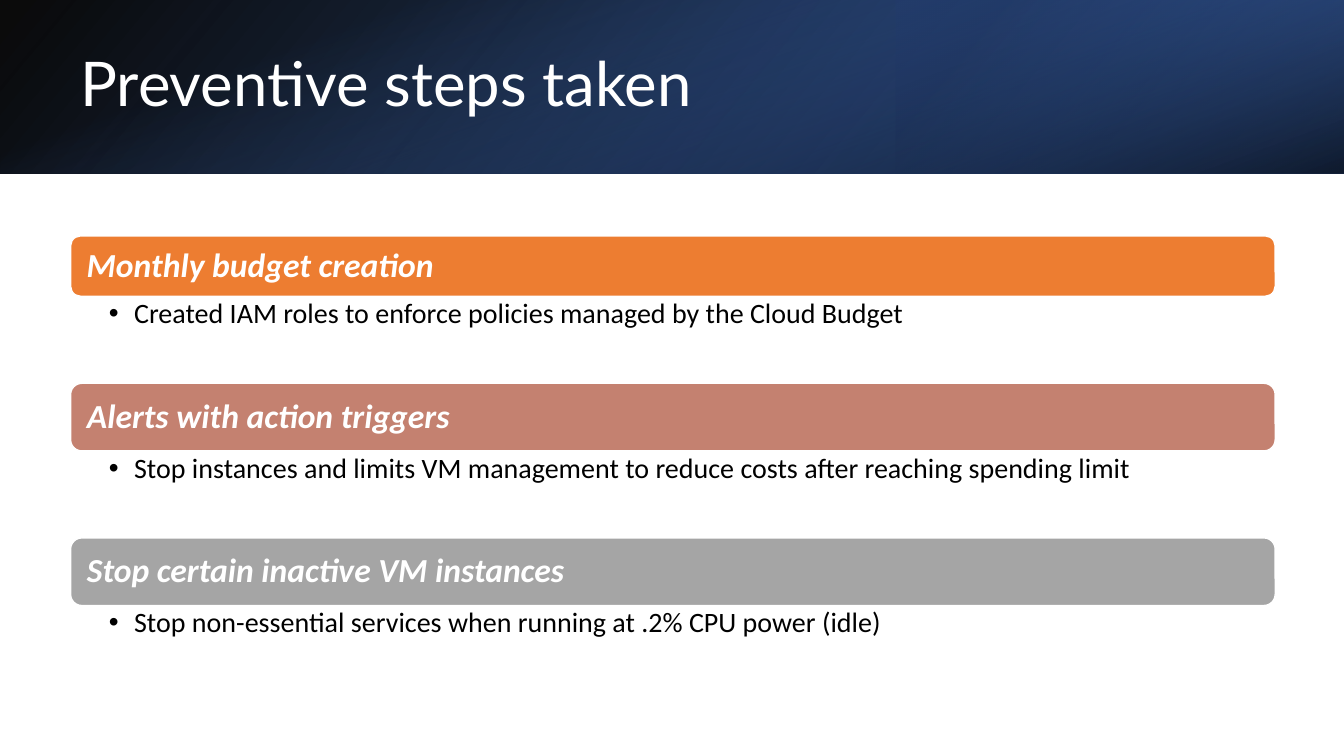
from lxml.etree import SubElement
from pptx import Presentation
from pptx.dml.color import RGBColor
from pptx.enum.shapes import MSO_SHAPE as SHAPE
from pptx.enum.text import MSO_ANCHOR as ANCHOR, PP_ALIGN as ALIGN
from pptx.oxml.ns import qn
from pptx.util import Inches, Pt


def rgb(value):
    return RGBColor.from_string(value)


class Deck:
    """Holds the style and current slide; lengths are percent of the slide."""
    white, black = "FFFFFF", "000000"
    head_font, body_font = "Lato", "Calibri"

    def __init__(self, prs):
        self.prs = prs
        self.slide = prs.slides.add_slide(prs.slide_layouts[6])

    def place(self, x, y, w, h):
        sw, sh = self.prs.slide_width, self.prs.slide_height
        return [int(v * size / 100) for v, size in zip((x, y, w, h), (sw, sh) * 2)]

    def shape(self, kind, box):
        s = self.slide.shapes.add_shape(kind, *self.place(*box))
        s.shadow.inherit = False
        return s

    def gradient(self, box, stops, angle, rotation=0, flip=False):
        s = self.shape(SHAPE.RECTANGLE, box)
        s.line.fill.background()
        if rotation == 90:  # swap the sides about the same centre
            x, y, w, h = s.left, s.top, s.width, s.height
            s.left, s.top = x + (w - h) // 2, y + (h - w) // 2
            s.width, s.height = h, w
        s.rotation = rotation
        sp_pr = s.element.spPr
        if flip:
            sp_pr.xfrm.set("flipH", "1")
        s.fill.gradient()
        grad = sp_pr.find(qn("a:gradFill"))
        for child in list(grad):
            grad.remove(child)
        grad.set("rotWithShape", "1")
        stop_list = SubElement(grad, qn("a:gsLst"))
        for pos, color, opacity in stops:
            gs = SubElement(stop_list, qn("a:gs"), pos=str(pos * 1000))
            clr = SubElement(gs, qn("a:srgbClr"), val=color)
            SubElement(clr, qn("a:alpha"), val=str(opacity * 1000))
        SubElement(grad, qn("a:lin"), ang=str(angle * 60000), scaled="0")

    def add_text(self, s, text, size, color, font, insets, anchor=ANCHOR.MIDDLE, strong=False):
        tf = s.text_frame
        tf.word_wrap = True
        tf.vertical_anchor = anchor
        tf.margin_left, tf.margin_top, tf.margin_right, tf.margin_bottom = map(Inches, insets)
        p = tf.paragraphs[0]
        p.alignment = ALIGN.LEFT
        p.line_spacing = 0.9
        r = p.add_run()
        r.text = text
        r.font.size, r.font.name = Pt(size), font
        r.font.bold = r.font.italic = strong
        r.font.color.rgb = rgb(color)
        return p

    def textbox(self, box):
        return self.slide.shapes.add_textbox(*self.place(*box))

    def title(self, box, text):
        self.add_text(self.textbox(box), text, 44, self.white, self.head_font,
                      (0.1, 0.05, 0.1, 0.05))

    def bar(self, box, text, color):
        s = self.shape(SHAPE.ROUNDED_RECTANGLE, box)
        s.fill.solid()
        s.fill.fore_color.rgb = rgb(color)
        s.line.color.rgb = rgb(self.white)
        s.line.width = Pt(1)
        self.add_text(s, text, 24, self.white, self.body_font,
                      (0.13, 0.1, 0.13, 0.1), strong=True)

    def bullet(self, box, text):
        p = self.add_text(self.textbox(box), text, 20, self.black, self.body_font,
                          (0.38, 0.03, 0.16, 0.03), ANCHOR.TOP)
        p_pr = p._p.get_or_add_pPr()
        p_pr.set("marL", str(Inches(0.25)))
        p_pr.set("indent", str(Inches(-0.25)))
        SubElement(p_pr, qn("a:buFont"), typeface="Arial")
        SubElement(p_pr, qn("a:buChar"), char="•")


def main():
    prs = Presentation()
    prs.slide_width, prs.slide_height = Inches(13.33), Inches(7.5)
    deck = Deck(prs)

    # Banner: three layered gradients
    banner_h = 22.93
    banner = (0, 0, 100, banner_h)
    deck.gradient(banner, [(0, "000000", 96), (100, "2F5597", 100)], 140, flip=True)
    deck.gradient((66.67, 0, 33.33, banner_h), [(19, "203864", 68), (100, "4472C4", 79)],
                  320, rotation=180, flip=True)
    deck.gradient(banner, [(23, "4472C4", 0), (99, "000000", 74)], 340, rotation=90)
    deck.title((5.25, 5.07, 82.35, 12.8), "Preventive steps taken")

    # Steps: each bar with its bullet, stacked without gaps
    steps = [
        ("Monthly budget creation", "ED7D31", 8,
         "Created IAM roles to enforce policies managed by the Cloud Budget"),
        ("Alerts with action triggers", "C48170", 8.95,
         "Stop instances and limits VM management to reduce costs after reaching spending limit"),
        ("Stop certain inactive VM instances", "A5A5A5", 8.95,
         "Stop non-essential services when running at .2% CPU power (idle)"),
    ]
    left, width, y, bullet_h = 5.25, 89.63, 31.2, 11.5
    for heading, color, bar_h, detail in steps:
        deck.bar((left, y, width, bar_h), heading, color)
        deck.bullet((left, y + bar_h, width, bullet_h), detail)
        y += bar_h + bullet_h

    prs.save("out.pptx")


if __name__ == "__main__":
    main()
